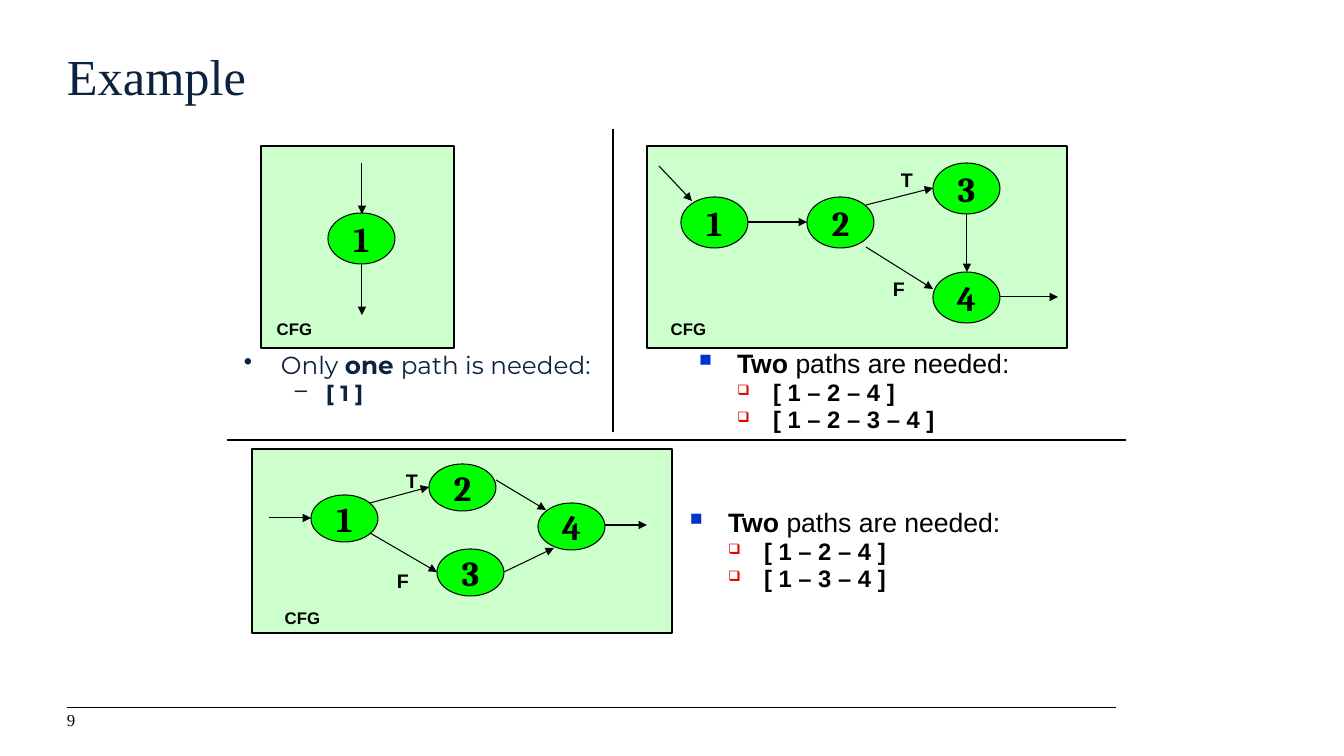
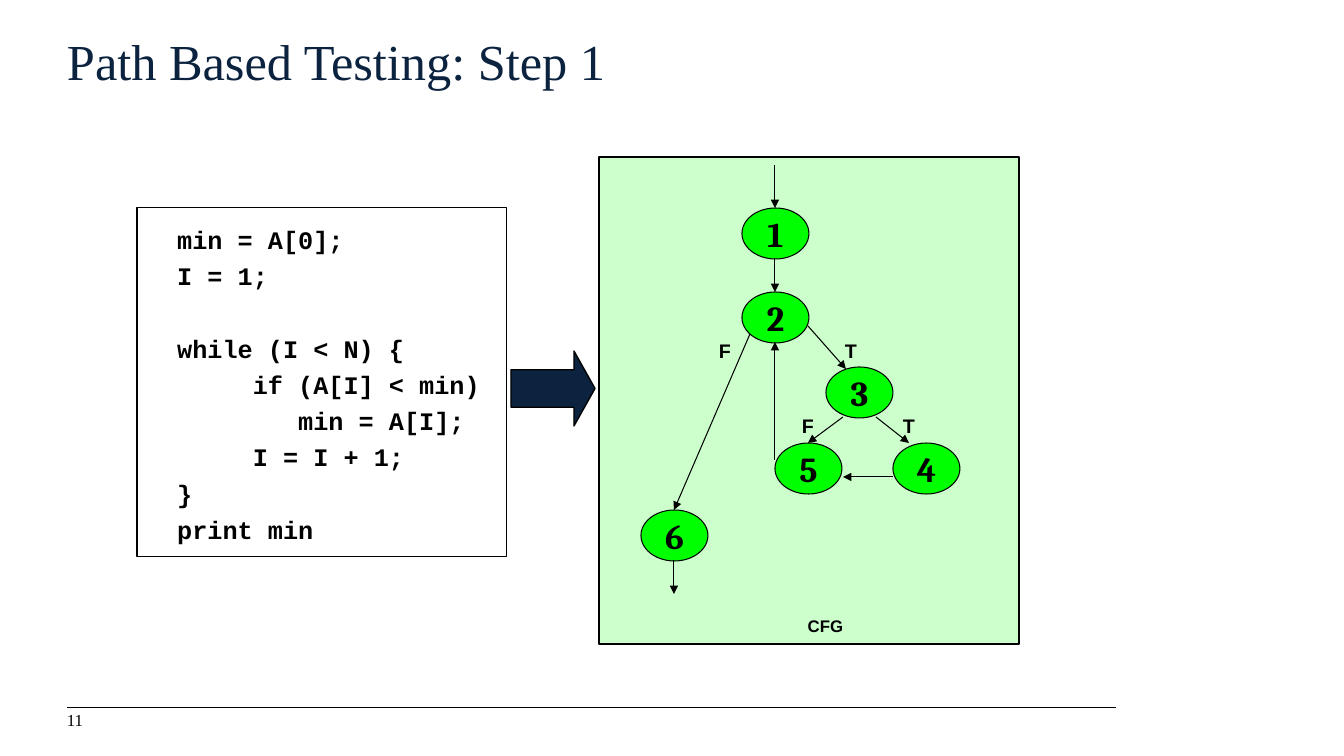
from lxml import etree
from pptx import Presentation
from pptx import util as u
from pptx.dml.color import RGBColor
from pptx.enum import shapes, text
from pptx.oxml import ns

# Colours and fonts
NAVY = RGBColor(0x0C, 0x23, 0x40)
BLACK = RGBColor(0, 0, 0)
PALE_GREEN = RGBColor(0xCC, 0xFF, 0xCC)
GREEN = RGBColor(0, 0xFF, 0)
BLUE = RGBColor(0, 0x33, 0xCC)
RED = RGBColor(0xE1, 0x06, 0)
TITLE_FONT = {"name": "Times New Roman", "size": u.Pt(36), "color": NAVY}
NUMBER_FONT = {"name": "Times New Roman", "size": u.Pt(12), "color": BLACK}
NODE_FONT = {"name": "Cambria", "size": u.Pt(25), "bold": True, "color": BLACK}
CODE_FONT = {"name": "Courier New", "size": u.Pt(18), "bold": True, "color": BLACK}
LABEL_FONT = {"name": "Arial", "bold": True, "color": BLACK}

# Lengths in px
EMU_PER_PX = 914400 / 100.8
PAGE_SIZE = (1344, 756)
INSETS = (10, 5, 10, 5)
FLUSH_INSETS = (0, 0, 10, 5)
MARGIN, RULE_END, RULE_Y = 67, 1116, 708
NODE_WIDTH = 67
LABEL_SIZES = {"CFG": (67, 30, 12), "T": (50, 33, 14), "F": (50, 33, 14)}

# Control flow graphs: nodes and labels by top left, arrows as x1, y1, x2, y2
SINGLE = {
    "frame": (261, 146, 193, 202), "node_height": 51,
    "nodes": [(328, 213)],
    "arrows": [(362, 163, 362, 214), (362, 264, 362, 315)],
    "labels": [("CFG", 261, 314)],
}
IF_THEN = {
    "frame": (647, 146, 420, 202), "node_height": 51,
    "nodes": [(681, 197), (807, 197), (933, 163), (933, 272)],
    "arrows": [(659, 166, 692, 201), (748, 222, 807, 222), (866, 205, 933, 188),
               (866, 247, 933, 289), (967, 214, 967, 272), (1000, 297, 1058, 297)],
    "labels": [("CFG", 655, 314), ("T", 882, 163), ("F", 874, 272)],
}
IF_ELSE = {
    "frame": (252, 449, 420, 184), "node_height": 47,
    "nodes": [(311, 495), (429, 464), (437, 549), (538, 503)],
    "arrows": [(269, 518, 311, 518), (370, 503, 429, 487), (370, 533, 437, 572),
               (496, 480, 546, 510), (504, 572, 554, 548), (605, 525, 647, 525)],
    "labels": [("CFG", 269, 603), ("T", 387, 464), ("F", 378, 564)],
}
LOOP = {
    "frame": (599, 157, 420, 487), "node_height": 51,
    "nodes": [(742, 208), (742, 292), (826, 367), (893, 443), (775, 443), (641, 510)],
    "arrows": [(775, 165, 775, 208), (775, 258, 775, 292), (808, 326, 846, 369),
               (843, 417, 808, 443), (876, 417, 909, 443), (750, 334, 674, 510),
               (674, 560, 674, 594), (893, 477, 843, 477), (775, 460, 775, 342)],
    "labels": [("CFG", 792, 611), ("T", 826, 334), ("F", 700, 334),
               ("T", 884, 409), ("F", 783, 409)],
}

# Path lists: each level has font size, left margin, hanging indent and bullet
PLAIN_LIST = {
    "font": "Montserrat", "color": NAVY, "insets": FLUSH_INSETS,
    "levels": [(17.6, 37, 37, "•", None, 100), (15.7, 82, 31, "–", None, 100)],
}
SQUARE_LIST = {
    "font": "Arial", "color": BLACK, "insets": INSETS,
    "levels": [(19, 38, 38, "■", BLUE, 65), (17, 74, 36, "❑", RED, 60)],
}
PATH_LISTS = [
    ((244, 356, 361, 68), PLAIN_LIST,
     [("Only ", False), ("one ", True), ("path is needed:", False)], ["[ 1 ]"]),
    ((689, 348, 378, 109), SQUARE_LIST,
     [("Two ", True), ("paths are needed:", False)], ["[ 1 – 2 – 4 ]", "[ 1 – 2 – 3 – 4 ]"]),
    ((680, 507, 336, 134), SQUARE_LIST,
     [("Two ", True), ("paths are needed:", False)], ["[ 1 – 2 – 4 ]", "[ 1 – 3 – 4 ]"]),
]
DIVIDERS = [(227, 440, 1126, 440), (613, 129, 613, 432)]

# Code blocks, set apart by one line of space
CODE_BOX = (137, 208, 370, 349)
CODE_BLOCKS = [
    ["  min = A[0];", "  I = 1;"],
    ["  while (I < N) {", "       if (A[I] < min)", "          min = A[I];",
     "       I = I + 1;", "  }", "  print min"],
]
BLOCK_ARROW = (511, 351, 84, 75)


def px(*values):
    return [u.Emu(round(value * EMU_PER_PX)) for value in values]


def apply_font(font, formats):
    for key, value in formats.items():
        if key == "color":
            font.color.rgb = value
        else:
            setattr(font, key, value)


def add_span(para, words, formats):
    span = para.add_run()
    span.text = words
    apply_font(span.font, formats)


def set_frame(box, insets=INSETS, wrap=True, anchor=text.MSO_ANCHOR.TOP):
    frame = box.text_frame
    left, top, right, bottom = px(*insets)
    formats = {"margin_left": left, "margin_top": top, "margin_right": right,
               "margin_bottom": bottom, "word_wrap": wrap, "vertical_anchor": anchor,
               "auto_size": text.MSO_AUTO_SIZE.NONE}
    for key, value in formats.items():
        setattr(frame, key, value)
    return frame


def add_text(parent, area, words, formats, align, **frame_formats):
    frame = set_frame(parent.shapes.add_textbox(*px(*area)), **frame_formats)
    para = frame.paragraphs[0]
    para.alignment = align
    add_span(para, words, formats)


def add_block(parent, kind, area, fill, weight):
    block = parent.shapes.add_shape(kind, *px(*area))
    block.shadow.inherit = False
    if fill is None:
        block.fill.background()
    else:
        block.fill.solid()
        block.fill.fore_color.rgb = fill
    block.line.color.rgb = BLACK
    block.line.width = u.Pt(weight)
    return block


def add_line(parent, ends, weight=0.75, arrow=False):
    line = parent.shapes.add_connector(shapes.MSO_CONNECTOR.STRAIGHT, *px(*ends))
    line.line.color.rgb = BLACK
    line.line.width = u.Pt(weight)
    properties = line._element.spPr
    if arrow:
        etree.SubElement(properties.find(ns.qn("a:ln")), ns.qn("a:tailEnd"), type="triangle")
    etree.SubElement(properties, ns.qn("a:effectLst"))


def add_graph(page, graph):
    group = page.shapes.add_group_shape()
    add_block(group, shapes.MSO_SHAPE.RECTANGLE, graph["frame"], PALE_GREEN, 1)
    for number, (x, y) in enumerate(graph["nodes"], 1):
        area = (x, y, NODE_WIDTH, graph["node_height"])
        node = add_block(group, shapes.MSO_SHAPE.OVAL, area, GREEN, 0.75)
        para = set_frame(node, wrap=False, anchor=text.MSO_ANCHOR.MIDDLE).paragraphs[0]
        para.alignment = text.PP_ALIGN.CENTER
        add_span(para, str(number), NODE_FONT)
    for ends in graph["arrows"]:
        add_line(group, ends, arrow=True)
    for words, x, y in graph["labels"]:
        width, height, size = LABEL_SIZES[words]
        add_text(group, (x, y, width, height), words,
                 {**LABEL_FONT, "size": u.Pt(size)}, text.PP_ALIGN.CENTER)


def add_bullet(para, left, hanging, char, color, percent):
    properties = para._p.get_or_add_pPr()
    margin, indent = px(left, -hanging)
    properties.set("marL", str(margin))
    properties.set("indent", str(indent))
    if color is not None:
        holder = etree.SubElement(properties, ns.qn("a:buClr"))
        etree.SubElement(holder, ns.qn("a:srgbClr"), val=str(color))
    etree.SubElement(properties, ns.qn("a:buSzPct"), val=str(percent * 1000))
    etree.SubElement(properties, ns.qn("a:buChar"), char=char)


def add_path_list(page, area, style, heading, paths):
    frame = set_frame(page.shapes.add_textbox(*px(*area)), insets=style["insets"])
    rows = [(0, heading)] + [(1, [(words, True)]) for words in paths]
    for index, (level, spans) in enumerate(rows):
        para = frame.add_paragraph() if index else frame.paragraphs[0]
        size, *bullet = style["levels"][level]
        add_bullet(para, *bullet)
        para.level = level
        para.line_spacing = 0.8
        if index:
            para.space_before = u.Pt(3.3)
        for words, bold in spans:
            add_span(para, words, {"name": style["font"], "size": u.Pt(size),
                                   "bold": bold, "color": style["color"]})


def add_code(page):
    box = add_block(page, shapes.MSO_SHAPE.RECTANGLE, CODE_BOX, None, 0.75)
    frame = set_frame(box, insets=(10, 10, 10, 10))
    for block_index, block in enumerate(CODE_BLOCKS):
        for line_index, words in enumerate(block):
            first = block_index == line_index == 0
            para = frame.paragraphs[0] if first else frame.add_paragraph()
            para.alignment = text.PP_ALIGN.LEFT
            para.line_spacing = 1.2
            if block_index and not line_index:
                para.space_before = u.Pt(26)
            add_span(para, words, CODE_FONT)


def add_page(deck, title, title_top, number):
    page = deck.slides.add_slide(deck.slide_layouts[5])
    add_line(page, (MARGIN, RULE_Y, RULE_END, RULE_Y))
    heading = page.shapes.title
    heading.left, heading.top, heading.width, heading.height = px(
        MARGIN, title_top, RULE_END - MARGIN, 94)
    para = set_frame(heading, insets=FLUSH_INSETS).paragraphs[0]
    para.alignment = text.PP_ALIGN.LEFT
    add_span(para, title, TITLE_FONT)
    add_text(page, (MARGIN, 712, 53, 21), number, NUMBER_FONT, text.PP_ALIGN.LEFT,
             insets=FLUSH_INSETS, anchor=text.MSO_ANCHOR.MIDDLE)
    return page


def main():
    deck = Presentation()
    deck.slide_width, deck.slide_height = px(*PAGE_SIZE)

    # Three small graphs with the paths they need
    page = add_page(deck, "Example", 45, "9")
    for graph in (SINGLE, IF_THEN, IF_ELSE):
        add_graph(page, graph)
    for path_list in PATH_LISTS:
        add_path_list(page, *path_list)
    for ends in DIVIDERS:
        add_line(page, ends, weight=1)

    # Code turned into its graph
    page = add_page(deck, "Path Based Testing: Step 1", 30, "11")
    add_code(page)
    add_graph(page, LOOP)
    arrow = add_block(page, shapes.MSO_SHAPE.RIGHT_ARROW, BLOCK_ARROW, NAVY, 1)
    arrow.adjustments[0], arrow.adjustments[1] = 0.5, 0.28

    deck.save("out.pptx")


if __name__ == "__main__":
    main()
